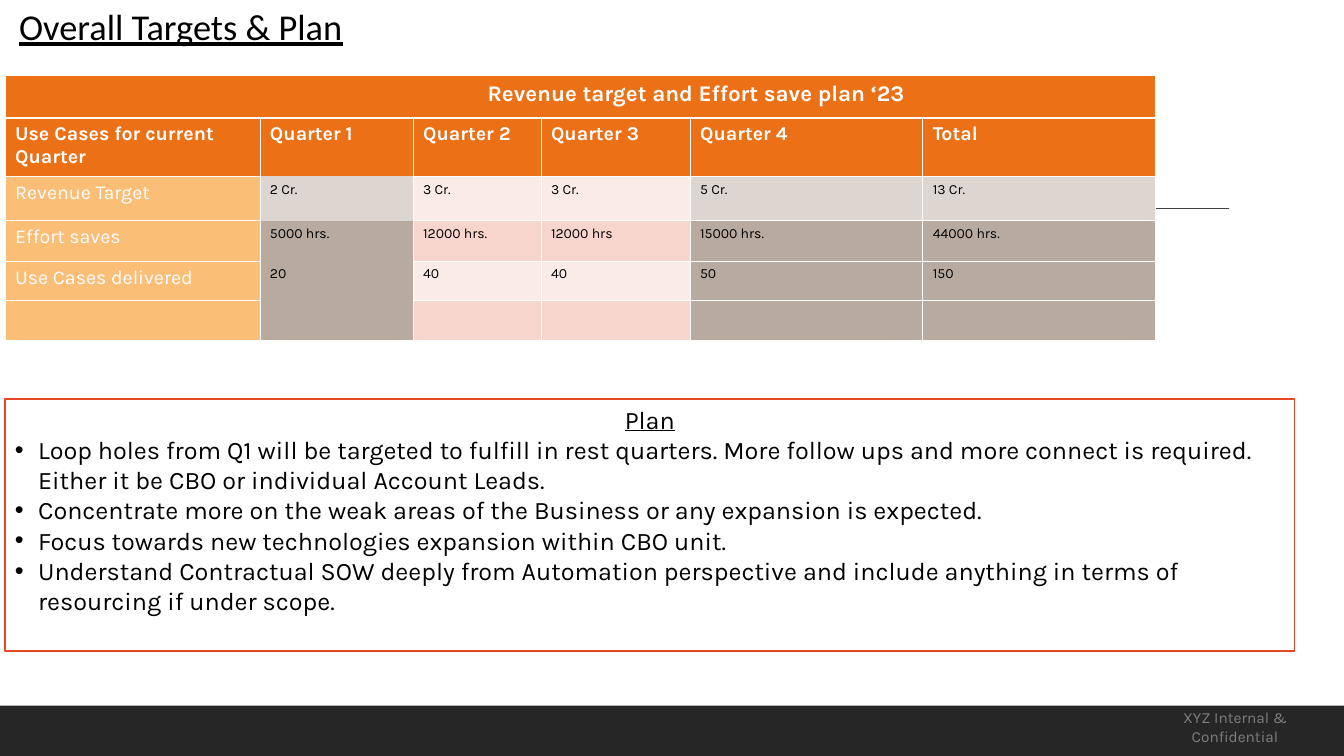
from lxml import etree
from pptx import Presentation
from pptx import util as u
from pptx.dml import color
from pptx.enum import shapes, text
from pptx.oxml import ns

TARGETS = [
    ["Use Cases for current Quarter", "Quarter 1", "Quarter 2", "Quarter 3", "Quarter 4", "Total"],
    ["Revenue Target", "2 Cr.", "3 Cr.", "3 Cr.", "5 Cr.", "13 Cr."],
    ["Effort saves", "5000 hrs.", "12000 hrs.", "12000 hrs", "15000 hrs.", "44000 hrs."],
    ["Use Cases delivered", "20", "40", "40", "50", "150"],
    [""] * 6,
]
COLUMN_WIDTHS = [2.53, 1.52, 1.27, 1.48, 2.31, 2.31]
ROW_HEIGHTS = [0.42, 0.58, 0.44, 0.4, 0.39, 0.4]
ORANGE, LABEL = "EC7016", "FBBE77"
PALE_GREY, GREY, PALE_PINK, PINK = "DCD5D0", "B9AAA0", "FBEBE7", "F8D5CC"
GREY_BY_ROW = [PALE_GREY, GREY, GREY, GREY]
PINK_BY_ROW = [PALE_PINK, PINK, PALE_PINK, PINK]
PLAN = [
    "Loop holes from Q1 will be targeted to fulfill in rest quarters. More follow ups and more "
    "connect is required. Either it be CBO or individual Account Leads.",
    "Concentrate more on the weak areas of the Business or any expansion is expected.",
    "Focus towards new technologies expansion within CBO unit.",
    "Understand Contractual SOW deeply from Automation perspective and include anything in terms "
    "of resourcing if under scope.",
]


def rgb(value):
    return color.RGBColor.from_string(value)


def inches(*lengths):
    return [u.Inches(length) for length in lengths]


def write(paragraph, words, size, hue, align=text.PP_ALIGN.LEFT, **formats):
    paragraph.alignment = align
    run = paragraph.add_run()
    run.text = words
    for key, value in {"name": "Karla", "size": u.Pt(size), **formats}.items():
        setattr(run.font, key, value)
    run.font.color.rgb = rgb(hue)


def indent(paragraph, left, first=0):
    props = paragraph._p.get_or_add_pPr()
    props.set("marL", str(u.Inches(left)))
    props.set("indent", str(u.Inches(first)))
    return props


def border(cell, widths):
    """Draw white cell edges; widths maps each side to points, 0 for none."""
    props = cell._tc.get_or_add_tcPr()
    for side in "LRTB":
        edge = etree.SubElement(props, ns.qn("a:ln" + side), w=str(u.Pt(widths[side])))
        if widths[side]:
            fill = etree.SubElement(edge, ns.qn("a:solidFill"))
            etree.SubElement(fill, ns.qn("a:srgbClr"), val="FFFFFF")
        else:
            etree.SubElement(edge, ns.qn("a:noFill"))


def add_footer(slide, left, top, width, height):
    band = slide.shapes.add_shape(shapes.MSO_SHAPE.RECTANGLE, *inches(left, top, width, height))
    band.shadow.inherit = False
    band.fill.solid()
    band.fill.fore_color.rgb = rgb("262626")
    band.line.fill.background()
    notice = slide.shapes.add_textbox(*inches(left + 11.31, top - 0.02, 1.9, 0.47))
    notice.text_frame.word_wrap = True
    write(notice.text_frame.paragraphs[0], "XYZ Internal & Confidential", 11, "7F7F7F",
          text.PP_ALIGN.CENTER)


def add_rule(slide, left, top, width):
    rule = slide.shapes.add_connector(shapes.MSO_CONNECTOR.STRAIGHT,
                                      *inches(left, top, left + width, top))
    rule.line.color.rgb = rgb("404040")
    rule.line.width = u.Pt(1)
    etree.SubElement(rule._element.spPr, ns.qn("a:effectLst"))


def cell_fill(row, column):
    if row < 2:
        return ORANGE
    if column == 0:
        return LABEL
    return (PINK_BY_ROW if column in (2, 3) else GREY_BY_ROW)[row - 2]


def add_targets(slide, left, top):
    box = inches(left, top, sum(COLUMN_WIDTHS), sum(ROW_HEIGHTS))
    table = slide.shapes.add_table(len(ROW_HEIGHTS), len(COLUMN_WIDTHS), *box).table
    for column, width in zip(table.columns, COLUMN_WIDTHS):
        column.width = u.Inches(width)
    for row, height in zip(table.rows, ROW_HEIGHTS):
        row.height = u.Inches(height)
    last = len(ROW_HEIGHTS) - 1
    for r in range(len(ROW_HEIGHTS)):
        for c in range(len(COLUMN_WIDTHS)):
            cell = table.cell(r, c)
            widths = dict.fromkeys("LRTB", 0.45)
            if r < 2:
                widths["B" if r == 0 else "T"] = 1.47
            # The first quarter's column runs on without inner horizontal lines.
            if c == 1 and r >= 1:
                widths["B"] = 0.45 if r == last else 0
                widths["T"] = 1.47 if r == 1 else 0
            border(cell, widths)
            cell.fill.solid()
            cell.fill.fore_color.rgb = rgb(cell_fill(r, c))
            if r and TARGETS[r - 1][c]:
                heading = r == 1 or c == 0
                write(cell.text_frame.paragraphs[0], TARGETS[r - 1][c], 14 if heading else 10,
                      "FFFFFF" if heading else "000000", bold=r == 1)
    banner = table.cell(0, 0)
    banner.merge(table.cell(0, len(COLUMN_WIDTHS) - 1))
    caption = banner.text_frame.paragraphs[0]
    indent(caption, 4.69)
    write(caption, "Revenue target and Effort save plan ‘23", 16, "FFFFFF", bold=True)


def add_plan(slide, left, top, width, height):
    panel = slide.shapes.add_shape(shapes.MSO_SHAPE.RECTANGLE, *inches(left, top, width, height))
    panel.shadow.inherit = False
    panel.fill.solid()
    panel.fill.fore_color.rgb = rgb("FFFFFF")
    panel.line.color.rgb = rgb("E64823")
    panel.line.width = u.Pt(1.25)
    frame = panel.text_frame
    frame.word_wrap = True
    frame.vertical_anchor = text.MSO_ANCHOR.TOP
    write(frame.paragraphs[0], "Plan", 18, "000000", text.PP_ALIGN.CENTER, underline=True)
    for step in PLAN:
        paragraph = frame.add_paragraph()
        props = indent(paragraph, 0.23, -0.23)
        etree.SubElement(props, ns.qn("a:buFont"), typeface="Arial")
        etree.SubElement(props, ns.qn("a:buChar"), char="•")
        write(paragraph, step, 18, "000000")


def add_title(slide, left, top, width, height):
    title = slide.shapes.title
    title.left, title.top, title.width, title.height = inches(left, top, width, height)
    frame = title.text_frame
    frame.auto_size = text.MSO_AUTO_SIZE.NONE
    frame.vertical_anchor = text.MSO_ANCHOR.TOP
    write(frame.paragraphs[0], "Overall Targets & Plan", 26, "000000", name="Calibri",
          underline=True)


def main():
    deck = Presentation()
    deck.slide_width, deck.slide_height = inches(13.34, 7.5)
    slide = deck.slides.add_slide(deck.slide_layouts.get_by_name("Title Only"))
    add_title(slide, 0.09, -0.01, 7.96, 0.54)
    add_footer(slide, 0, 7, 13.34, 0.5)
    add_rule(slide, 1.31, 2.07, 10.89)
    add_targets(slide, 0.05, 0.75)
    add_plan(slide, 0.05, 3.96, 12.8, 2.5)
    deck.save("out.pptx")


if __name__ == "__main__":
    main()
